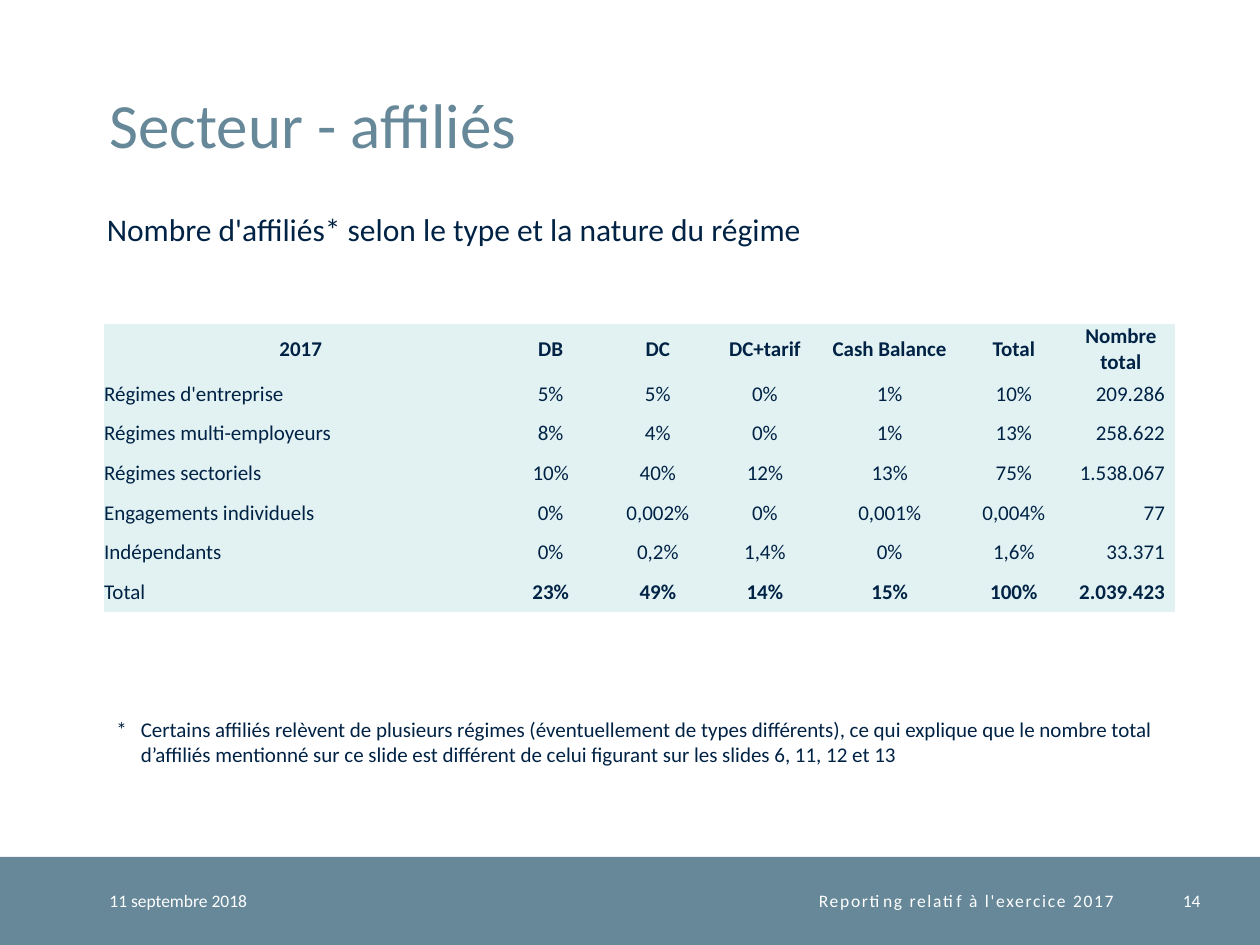
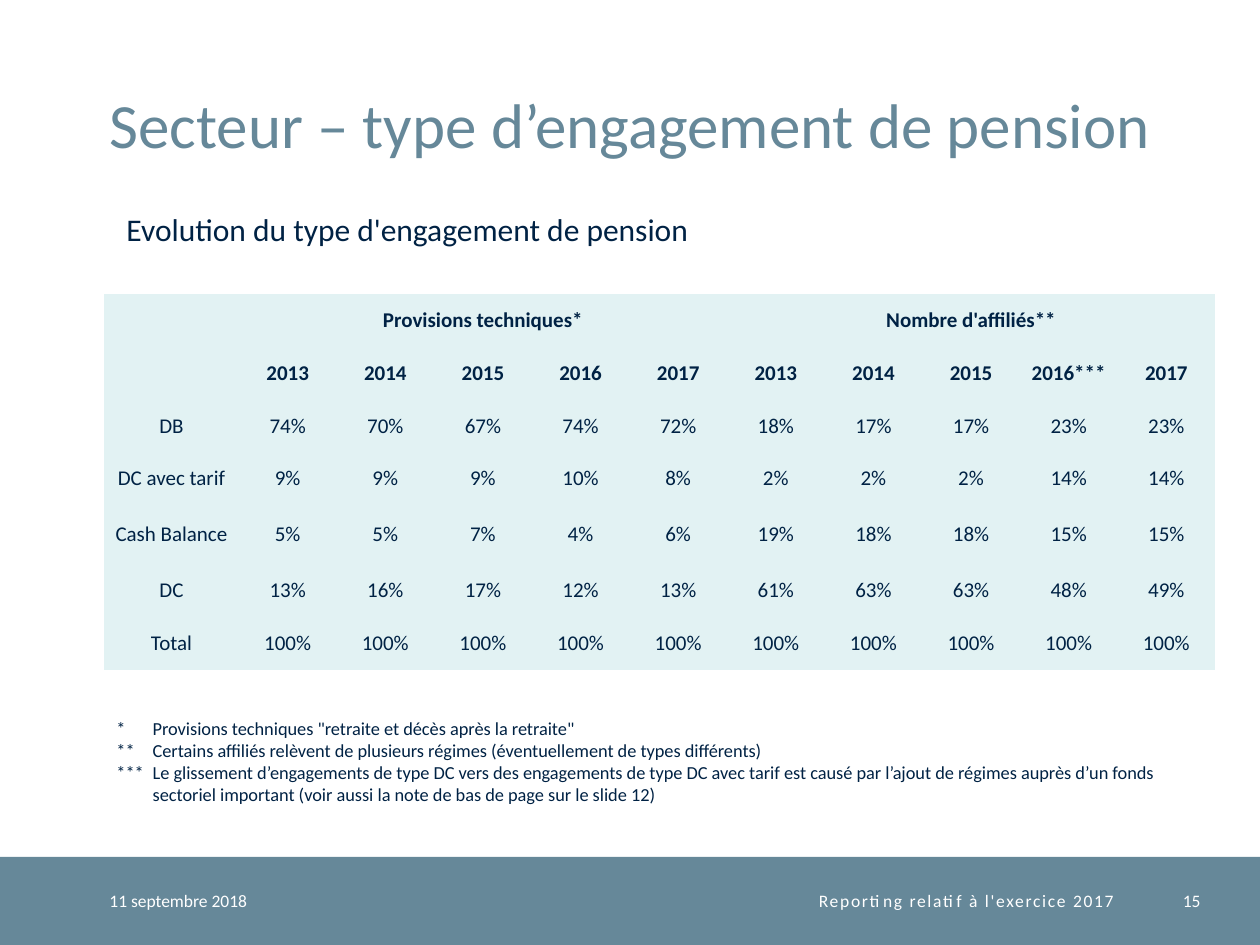
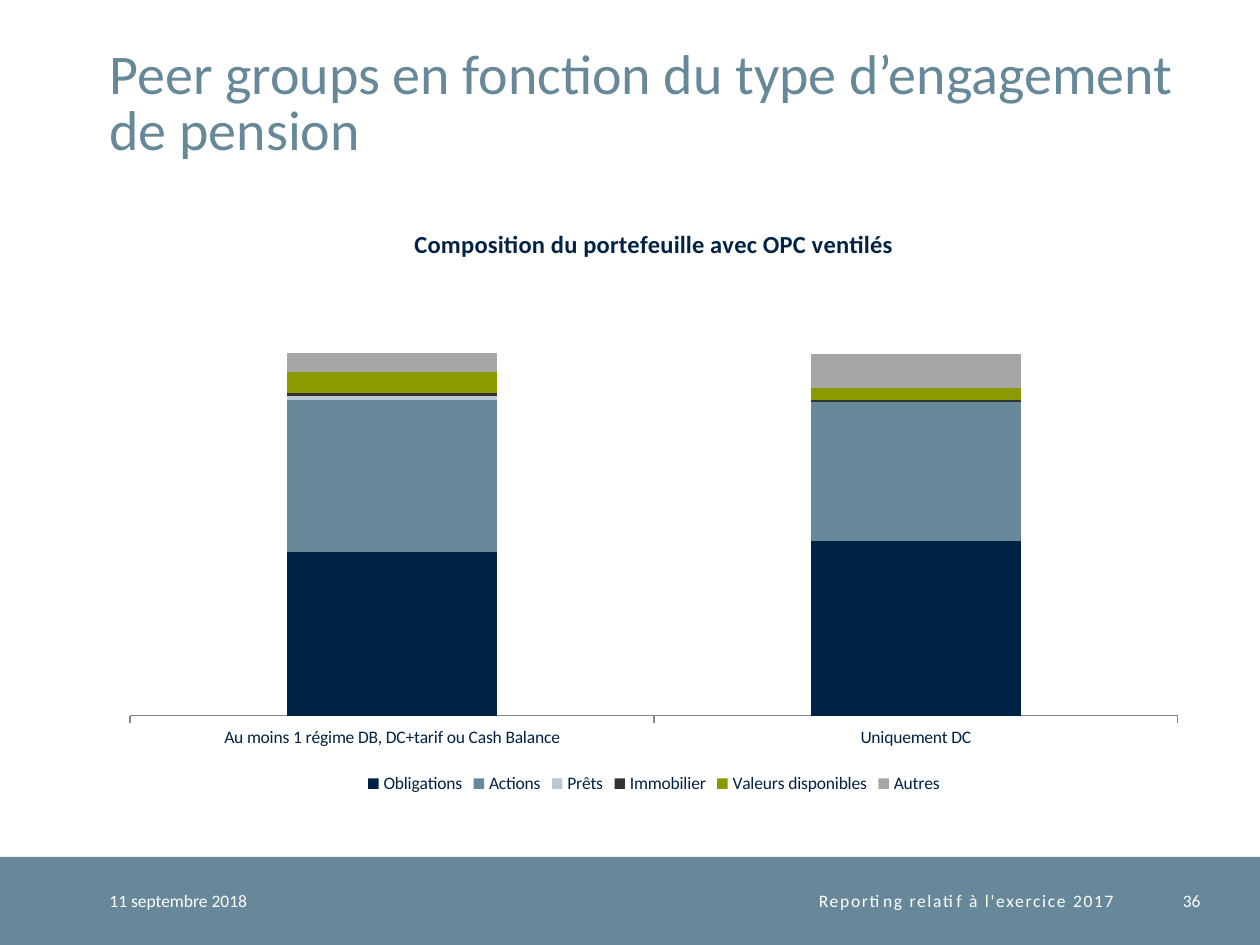
from dataclasses import dataclass

from pptx import Presentation
from pptx.chart.data import CategoryChartData
from pptx.dml.color import RGBColor
from pptx.enum.chart import XL_CHART_TYPE, XL_LEGEND_POSITION, XL_TICK_MARK
from pptx.enum.shapes import MSO_SHAPE
from pptx.enum.text import MSO_ANCHOR as Anchor
from pptx.enum.text import MSO_AUTO_SIZE as AutoSize
from pptx.enum.text import PP_ALIGN as Align
from pptx.util import Pt

FONT = "Calibri"
COLORS = {
    "slate": "668899",
    "navy": "002244",
    "white": "FFFFFF",
    "cell": "E2F2F3",
    "axis": "868686",
    "mist": "BAC9D0",
    "charcoal": "333333",
    "olive": "8B9A00",
    "grey": "A6A6A6",
}
PAGE_W, PAGE_H = 720, 540
BAND_TOP, BAND_H = 489.6, 50.4
MARGIN = 62.6
TABLE_LEFT = 59.5
NO_GRID_STYLE = "{2D5ABB26-0587-4C30-8999-92F81FD0307C}"


@dataclass(frozen=True)
class Box:
    left: float
    top: float
    width: float
    height: float

    def points(self) -> tuple:
        return Pt(self.left), Pt(self.top), Pt(self.width), Pt(self.height)


@dataclass(frozen=True)
class Style:
    size: float
    color: str = "navy"
    bold: bool = False
    align: Align = Align.LEFT
    spacing: float = 0  # between letters
    line: float = 0  # exact line height
    hanging: float = 0


@dataclass(frozen=True)
class Footer:
    box: Box
    text: str
    style: Style


@dataclass(frozen=True)
class Series:
    name: str
    values: tuple
    color: str


TITLE_BOX = Box(MARGIN, 14.4, 621.4, 77.8)
NOTE_TOP, NOTE_W = 406.1, 629.3
SUBTITLE = Style(18)
FOOTER = Style(10, "white")
FOOTER_RIGHT = Style(10, "white", align=Align.RIGHT)
FOOTERS = [
    Footer(Box(MARGIN, BAND_TOP, 127.4, BAND_H), "11 septembre 2018", FOOTER),
    Footer(Box(190, BAND_TOP, 446.5, BAND_H), "Reporting relatif à l'exercice 2017",
           Style(10, "white", align=Align.RIGHT, spacing=1)),
]
PAGE_NUMBER_BOX = Box(650.7, BAND_TOP, 35.3, BAND_H)

AFFILIATES = [
    ["2017", "DB", "DC", "DC+tarif", "Cash Balance", "Total", "Nombre total"],
    ["Régimes d'entreprise", "5%", "5%", "0%", "1%", "10%", "209.286"],
    ["Régimes multi-employeurs", "8%", "4%", "0%", "1%", "13%", "258.622"],
    ["Régimes sectoriels", "10%", "40%", "12%", "13%", "75%", "1.538.067"],
    ["Engagements individuels", "0%", "0,002%", "0%", "0,001%", "0,004%", "77"],
    ["Indépendants", "0%", "0,2%", "1,4%", "0%", "1,6%", "33.371"],
    ["Total", "23%", "49%", "14%", "15%", "100%", "2.039.423"],
]
AFFILIATES_WIDTHS = [224.6, 61.2, 61.2, 61.2, 81.4, 60.5, 61.9]

YEARS = ["2013", "2014", "2015", "2016", "2017"]
PENSION_TYPES = [
    ["", "Provisions techniques*", *[""] * 4, "Nombre d'affiliés**", *[""] * 4],
    ["", *YEARS, *YEARS[:3], "2016***", "2017"],
    ["DB", "74%", "70%", "67%", "74%", "72%", "18%", "17%", "17%", "23%", "23%"],
    ["DC avec tarif", "9%", "9%", "9%", "10%", "8%", "2%", "2%", "2%", "14%", "14%"],
    ["Cash Balance", "5%", "5%", "7%", "4%", "6%", "19%", "18%", "18%", "15%", "15%"],
    ["DC", "13%", "16%", "17%", "12%", "13%", "61%", "63%", "63%", "48%", "49%"],
    ["Total", *["100%"] * 10],
]

PORTFOLIO = [
    Series("Obligations", (94, 100), "navy"),
    Series("Actions", (87, 80), "slate"),
    Series("Prêts", (2, 0), "mist"),
    Series("Immobilier", (2, 1), "charcoal"),
    Series("Valeurs disponibles", (12, 7), "olive"),
    Series("Autres", (11, 19), "grey"),
]


def rgb(name: str) -> RGBColor:
    return RGBColor.from_string(COLORS[name])


def style_font(font, size: float, color: str, bold: bool = False) -> None:
    font.name, font.size, font.bold = FONT, Pt(size), bold
    font.color.rgb = rgb(color)


def write(paragraph, text: str, style: Style) -> None:
    paragraph.alignment = style.align
    if style.line:
        paragraph.line_spacing = Pt(style.line)
    if style.hanging:
        properties = paragraph._p.get_or_add_pPr()
        properties.set("marL", str(Pt(style.hanging)))
        properties.set("indent", str(-Pt(style.hanging)))
    run = paragraph.add_run()
    run.text = text
    style_font(run.font, style.size, style.color, style.bold)
    if style.spacing:
        run._r.get_or_add_rPr().set("spc", str(round(style.spacing * 100)))


def clear_margins(holder) -> None:
    holder.margin_left = holder.margin_right = 0
    holder.margin_top = holder.margin_bottom = 0


def add_text(slide, box: Box, lines: list[str], style: Style):
    frame = slide.shapes.add_textbox(*box.points()).text_frame
    frame.word_wrap = True
    for index, line in enumerate(lines):
        write(frame.add_paragraph() if index else frame.paragraphs[0], line, style)
    return frame


def add_tight_text(slide, box: Box, text: str, style: Style, anchor: Anchor) -> None:
    """Add text without inner margins."""
    frame = add_text(slide, box, [text], style)
    clear_margins(frame)
    frame.vertical_anchor = anchor


def add_growing_text(slide, box: Box, lines: list[str], style: Style) -> None:
    """Add text whose box takes the height of its lines."""
    add_text(slide, box, lines, style).auto_size = AutoSize.SHAPE_TO_FIT_TEXT


def add_page(deck, title: str, number: int, title_size: float = 36):
    """Add a slide with its band, footers and title."""
    slide = deck.slides.add_slide(deck.slide_layouts[6])
    band = slide.shapes.add_shape(
        MSO_SHAPE.RECTANGLE, *Box(0, BAND_TOP, PAGE_W, BAND_H).points())
    band.shadow.inherit = False
    band.fill.solid()
    band.fill.fore_color.rgb = rgb("slate")
    band.line.fill.background()
    add_tight_text(slide, TITLE_BOX, title, Style(title_size, "slate", line=32), Anchor.BOTTOM)
    for footer in [*FOOTERS, Footer(PAGE_NUMBER_BOX, str(number), FOOTER_RIGHT)]:
        add_tight_text(slide, footer.box, footer.text, footer.style, Anchor.MIDDLE)
    return slide


def add_grid(slide, top: float, widths: list[float], heights: list[float],
             rows: list[list[str]], cell_style):
    """Add a table; cell_style(row, column) gives the style of each cell."""
    box = Box(TABLE_LEFT, top, sum(widths), sum(heights))
    table = slide.shapes.add_table(len(rows), len(widths), *box.points()).table
    table.first_row = table.horz_banding = False
    table._tbl.tblPr[0].text = NO_GRID_STYLE
    for column, width in zip(table.columns, widths):
        column.width = Pt(width)
    for row, height in zip(table.rows, heights):
        row.height = Pt(height)
    for r, texts in enumerate(rows):
        for c, text in enumerate(texts):
            cell = table.cell(r, c)
            cell.fill.solid()
            cell.fill.fore_color.rgb = rgb("cell")
            cell.vertical_anchor = Anchor.MIDDLE
            clear_margins(cell)
            style = cell_style(r, c)
            if style.align == Align.RIGHT:
                cell.margin_right = Pt(5.8)
            if text:
                write(cell.text_frame.paragraphs[0], text, style)
    return table


def affiliates_style(row: int, column: int) -> Style:
    last_row, last_column = len(AFFILIATES) - 1, len(AFFILIATES[0]) - 1
    bold = row == 0 or (row == last_row and column > 0)
    align = Align.CENTER
    if row and column in (0, last_column):
        align = Align.RIGHT if column else Align.LEFT
    return Style(12, bold=bold, align=align)


def pension_style(row: int, column: int) -> Style:
    return Style(12, bold=row < 2, align=Align.CENTER)


def add_affiliates_page(deck) -> None:
    slide = add_page(deck, "Secteur - affiliés", 14)
    add_growing_text(slide, Box(54, 116.6, 607, 29),
                     ["Nombre d'affiliés* selon le type et la nature du régime"], SUBTITLE)
    add_growing_text(slide, Box(TABLE_LEFT, NOTE_TOP, NOTE_W, 36), [
        "* \tCertains affiliés relèvent de plusieurs régimes (éventuellement de types "
        "différents), ce qui explique que le nombre total d’affiliés mentionné sur ce "
        "slide est différent de celui figurant sur les slides 6, 11, 12 et 13",
    ], Style(12, hanging=13.9))
    add_grid(slide, 185, AFFILIATES_WIDTHS, [22.68] * len(AFFILIATES), AFFILIATES,
             affiliates_style)


def add_pension_page(deck) -> None:
    slide = add_page(deck, "Secteur – type d’engagement de pension", 15)
    heights = [30.24] * 4 + [33.8] + [30.24] * 2
    table = add_grid(slide, 167.8, [77] + [55.8] * 10, heights, PENSION_TYPES, pension_style)
    table.cell(0, 0).merge(table.cell(1, 0))
    for first in (1, 6):
        table.cell(0, first).merge(table.cell(0, first + len(YEARS) - 1))
    add_growing_text(slide, Box(65.2, 116.6, 607, 29),
                     ["Evolution du type d'engagement de pension"], SUBTITLE)
    add_growing_text(slide, Box(TABLE_LEFT, NOTE_TOP, NOTE_W, 58.3), [
        "*\tProvisions techniques \"retraite et décès après la retraite\"",
        "**\tCertains affiliés relèvent de plusieurs régimes (éventuellement de types différents)",
        "***\tLe glissement d’engagements de type DC vers des engagements de type DC avec "
        "tarif est causé par l’ajout de régimes auprès d’un fonds sectoriel important "
        "(voir aussi la note de bas de page sur le slide 12)",
    ], Style(10.5, hanging=20.7))


def add_portfolio_page(deck) -> None:
    slide = add_page(deck, "Peer groups en fonction du type d’engagement de pension", 36, 32)
    data = CategoryChartData()
    data.categories = ["Au moins 1 régime DB, DC+tarif ou Cash Balance", "Uniquement DC"]
    for series in PORTFOLIO:
        data.add_series(series.name, series.values)
    chart = slide.shapes.add_chart(
        XL_CHART_TYPE.COLUMN_STACKED, *Box(61.9, 116.6, 623.5, 339.8).points(), data).chart
    style_font(chart.font, 10, "navy")

    chart.has_title = True
    write(chart.chart_title.text_frame.paragraphs[0],
          "Composition du portefeuille avec OPC ventilés",
          Style(14, bold=True, align=Align.CENTER))
    chart.chart_title.include_in_layout = False
    chart.has_legend = True
    chart.legend.position = XL_LEGEND_POSITION.BOTTOM
    chart.legend.include_in_layout = False

    groups, amounts = chart.category_axis, chart.value_axis
    groups.major_tick_mark = XL_TICK_MARK.OUTSIDE
    groups.format.line.color.rgb = rgb("axis")
    amounts.visible = amounts.has_major_gridlines = False
    amounts.minimum_scale, amounts.maximum_scale = 0, 250

    plot = chart.plots[0]
    plot.gap_width, plot.overlap = 150, 100
    plot.vary_by_categories = False
    for bars, series in zip(plot.series, PORTFOLIO):
        bars.format.fill.solid()
        bars.format.fill.fore_color.rgb = rgb(series.color)


def main() -> None:
    deck = Presentation()
    deck.slide_width, deck.slide_height = Pt(PAGE_W), Pt(PAGE_H)
    add_affiliates_page(deck)
    add_pension_page(deck)
    add_portfolio_page(deck)
    deck.save("out.pptx")


if __name__ == "__main__":
    main()
